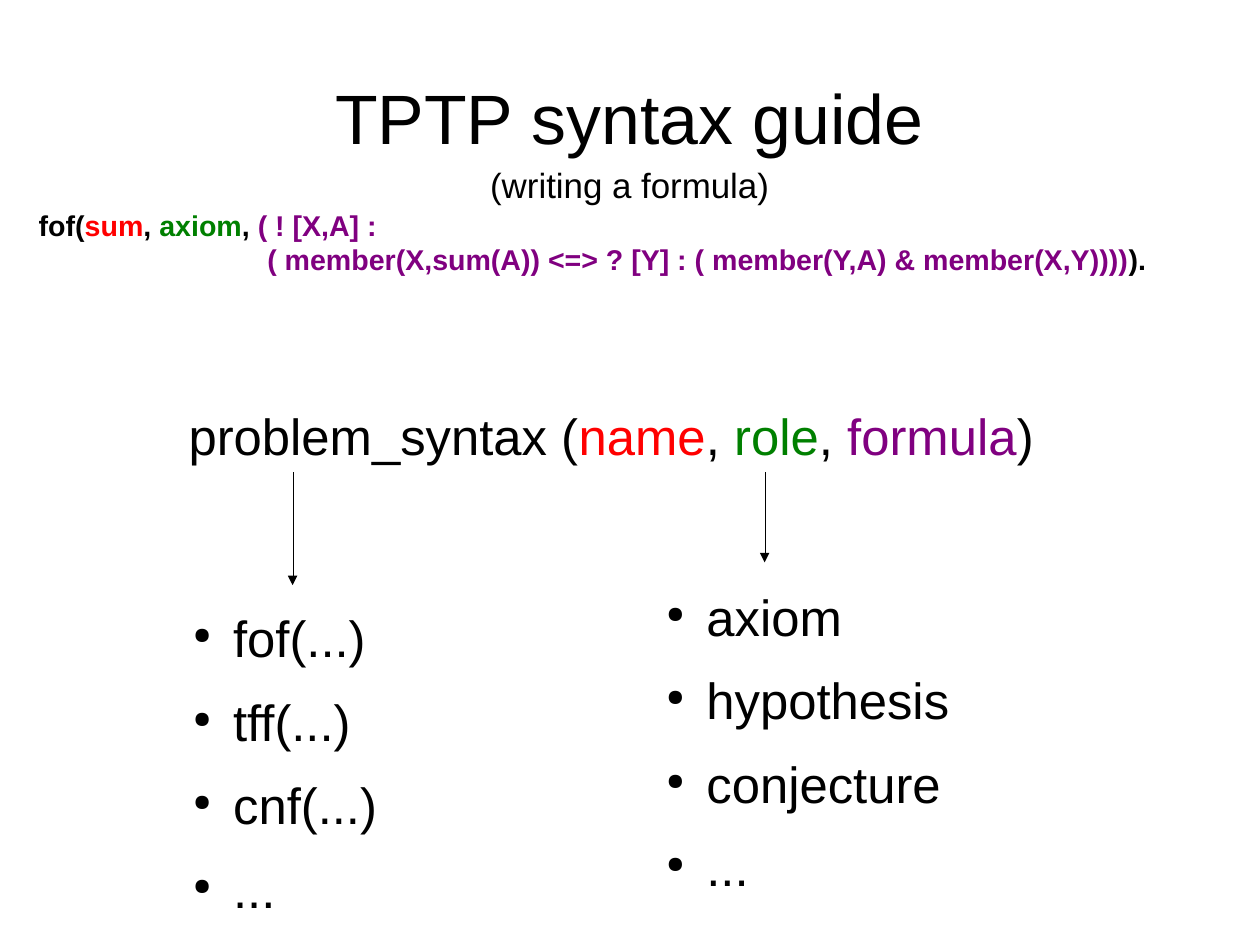
"""Build the TPTP syntax guide slide."""
from lxml import etree
from pptx import Presentation, util as u
from pptx.dml.color import RGBColor
from pptx.enum import shapes, text
from pptx.oxml.ns import qn

BLACK, RED, GREEN, PURPLE = "000000", "FF0000", "008000", "800080"

TITLE = [[("TPTP syntax guide", BLACK)]]
SUB = [[("(writing a formula)", BLACK)]]
SYNTAX = [[("problem_syntax (", BLACK), ("name", RED), (", ", BLACK),
           ("role", GREEN), (", ", BLACK), ("formula", PURPLE), (")", BLACK)]]
SAMPLE = [
    [("fof(", BLACK), ("sum", RED), (", ", BLACK), ("axiom", GREEN),
     (", ", BLACK), ("( ! [X,A] :", PURPLE)],
    [("( member(X,sum(A)) <=> ? [Y] : ( member(Y,A) & member(X,Y))))", PURPLE),
     (").", BLACK)],
]
LISTS = [
    ((1.57, 5.31, 1.77, 2.58), ["fof(...)", "tff(...)", "cnf(...)", "..."]),
    ((5.71, 5.12, 2.95, 2.58), ["axiom", "hypothesis", "conjecture", "..."]),
]
ARROWS = [(2.56, 4.13, 5.12), (6.69, 4.13, 4.92)]


def paint(target, color):
    target.rgb = RGBColor.from_string(color)


def add(parent, tag, **attrs):
    return etree.SubElement(parent, qn(tag), attrs)


def indent(para, left, first=0):
    props = para._p.get_or_add_pPr()
    props.set("marL", str(u.Inches(left)))
    props.set("indent", str(u.Inches(first)))
    return props


def put(slide, box, lines, size, pad=(0, 0), wrap=True, bold=False):
    frame = slide.shapes.add_textbox(*map(u.Inches, box)).text_frame
    frame.word_wrap = wrap
    frame.margin_left = frame.margin_right = u.Inches(pad[0])
    frame.margin_top = frame.margin_bottom = u.Inches(pad[1])
    for i, line in enumerate(lines):
        para = frame.add_paragraph() if i else frame.paragraphs[0]
        para.font.size = u.Pt(size)
        para.font.name = "Arial"
        para.font.bold = bold
        for words, color in line:
            run = para.add_run()
            run.text = words
            paint(run.font.color, color)
    return frame


def bullet(para):
    para.space_after = u.Pt(14.2)
    props = indent(para, 0.47, -0.35)
    add(add(props, "a:buClr"), "a:srgbClr", val=BLACK)
    add(props, "a:buSzPct", val="45000")
    add(props, "a:buChar", char="●")


def arrow(slide, x, top, end):
    line = slide.shapes.add_connector(
        shapes.MSO_CONNECTOR.STRAIGHT, *map(u.Inches, (x, top, x, end)))
    paint(line.line.color, BLACK)
    props = line._element.spPr
    stroke = props.find(qn("a:ln"))
    stroke.set("w", "0")
    add(stroke, "a:tailEnd", type="triangle")
    add(props, "a:effectLst")


def main():
    deck = Presentation()
    deck.slide_width, deck.slide_height = u.Cm(28), u.Cm(21)
    slide = deck.slides.add_slide(deck.slide_layouts[6])

    title = put(slide, (0.55, 0.33, 9.92, 1.38), TITLE, 44)
    title.vertical_anchor = text.MSO_ANCHOR.MIDDLE
    title.paragraphs[0].alignment = text.PP_ALIGN.CENTER

    for box, items in LISTS:
        frame = put(slide, box, [[(item, BLACK)] for item in items], 32)
        for para in frame.paragraphs:
            bullet(para)

    syntax = put(slide, (1.18, 3.54, 8.66, 1), SYNTAX, 32)
    indent(syntax.paragraphs[0], 0.47)

    sample = put(slide, (0.24, 1.77, 10.39, 0.98), SAMPLE, 18, (0.1, 0.05), bold=True)
    indent(sample.paragraphs[1], 2)

    for ends in ARROWS:
        arrow(slide, *ends)
    put(slide, (4.19, 1.38, 2.64, 0.44), SUB, 22, (0.1, 0.05), wrap=False)
    deck.save("out.pptx")


if __name__ == "__main__":
    main()
